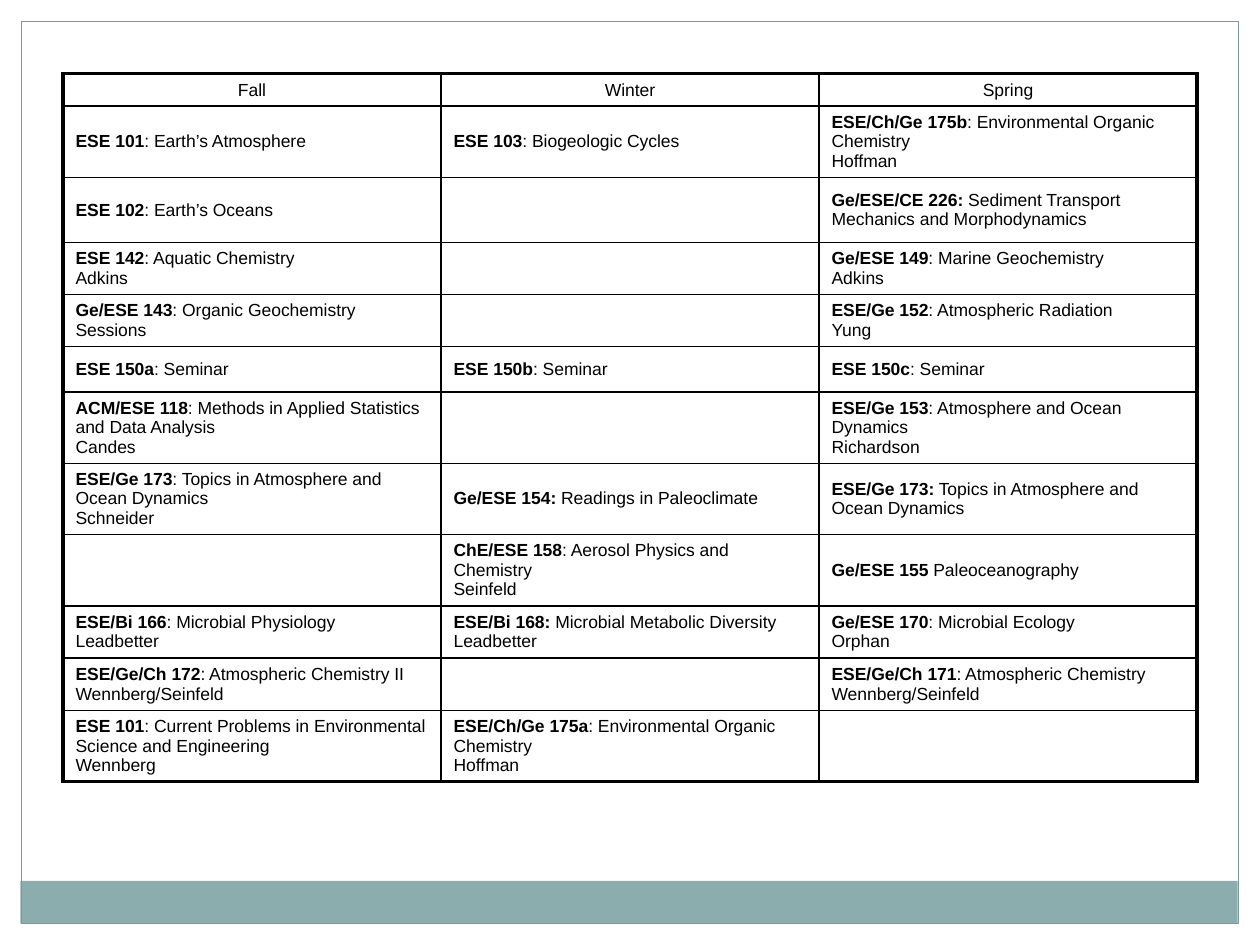
import pptx
import pptx.util
import pptx.dml.color
import pptx.enum.shapes
import pptx.enum.text
import pptx.oxml
import pptx.oxml.ns

Cm, Pt = pptx.util.Cm, pptx.util.Pt
MIDDLE = pptx.enum.text.MSO_ANCHOR.MIDDLE
BOTTOM = pptx.enum.text.MSO_ANCHOR.BOTTOM

COLORS = {"margin": "FFFFFF", "band": "8CADAE", "frame": "7C999A", "ink": "000000"}
FONT, SIZE = "Arial", 10
OUTER, INNER = 2, 1  # border widths in points
PAGE_WIDTH, PAGE_HEIGHT, MARGIN = 25.4, 19.05, 0.43

# Filled strips: colour, left, top, width, height in cm
STRIPS = [
    ("margin", 0, 0, PAGE_WIDTH, MARGIN),
    ("margin", PAGE_WIDTH - MARGIN, 0, MARGIN, PAGE_HEIGHT),
    ("margin", 0, 0, MARGIN, PAGE_HEIGHT),
    ("band", 0.41, 17.76, 24.54, 0.86),
]

TERMS = ["Fall", "Winter", "Spring"]
HEADER_HEIGHT = 0.64

# Row height in cm, then one course per term: (code, title, optional second paragraph)
COURSES = [
    (1.44, [("ESE 101", ": Earth’s Atmosphere"),
            ("ESE 103", ": Biogeologic Cycles"),
            ("ESE/Ch/Ge 175b", ": Environmental Organic Chemistry", "Hoffman")]),
    (1.31, [("ESE 102", ": Earth’s Oceans"),
            None,
            ("Ge/ESE/CE 226:", " Sediment Transport Mechanics and Morphodynamics")]),
    (1.05, [("ESE 142", ": Aquatic Chemistry\nAdkins"),
            None,
            ("Ge/ESE 149", ": Marine Geochemistry\nAdkins")]),
    (1.05, [("Ge/ESE 143", ": Organic Geochemistry\nSessions"),
            None,
            ("ESE/Ge 152", ": Atmospheric Radiation\nYung")]),
    (0.91, [("ESE 150a", ": Seminar"),
            ("ESE 150b", ": Seminar"),
            ("ESE 150c", ": Seminar")]),
    (1.44, [("ACM/ESE 118", ": Methods in Applied Statistics and Data Analysis", "Candes"),
            None,
            ("ESE/Ge 153", ": Atmosphere and Ocean Dynamics\nRichardson")]),
    (1.44, [("ESE/Ge 173", ": Topics in Atmosphere and Ocean Dynamics\nSchneider"),
            ("Ge/ESE 154:", " Readings in Paleoclimate"),
            ("ESE/Ge 173:", " Topics in Atmosphere and Ocean Dynamics")]),
    (1.44, [None,
            ("ChE/ESE 158", ": Aerosol Physics and Chemistry\nSeinfeld"),
            ("Ge/ESE 155 ", "Paleoceanography")]),
    (1.05, [("ESE/Bi 166", ": Microbial Physiology\nLeadbetter"),
            ("ESE/Bi 168:", " Microbial Metabolic Diversity", "Leadbetter"),
            ("Ge/ESE 170", ": Microbial Ecology\nOrphan")]),
    (1.05, [("ESE/Ge/Ch 172", ": Atmospheric Chemistry II\nWennberg/Seinfeld"),
            None,
            ("ESE/Ge/Ch 171", ": Atmospheric Chemistry\nWennberg/Seinfeld")]),
    (1.44, [("ESE 101", ": Current Problems in Environmental Science and Engineering",
             "Wennberg"),
            ("ESE/Ch/Ge 175a", ": Environmental Organic Chemistry", "Hoffman"),
            None]),
]


def color(name):
    return pptx.dml.color.RGBColor.from_string(COLORS[name])


def add_rectangle(slide, left, top, width, height):
    shape = slide.shapes.add_shape(pptx.enum.shapes.MSO_SHAPE.RECTANGLE,
                                   Cm(left), Cm(top), Cm(width), Cm(height))
    shape.shadow.inherit = False
    return shape


def add_text(para, text, bold=False):
    for index, line in enumerate(text.split("\n")):
        if index:
            para.add_line_break()
        span = para.add_run()
        span.text = line
        span.font.name, span.font.size, span.font.bold = FONT, Pt(SIZE), bold
        span.font.color.rgb = color("ink")


def set_borders(cell, widths):
    """Draw the left, right, top and bottom borders, with widths in points."""
    properties = cell._tc.get_or_add_tcPr()
    for tag, width in zip(("lnL", "lnR", "lnT", "lnB"), widths):
        properties.append(pptx.oxml.parse_xml(
            f'<a:{tag} {pptx.oxml.ns.nsdecls("a")} w="{Pt(width)}"><a:solidFill>'
            f'<a:srgbClr val="{COLORS["ink"]}"/></a:solidFill></a:{tag}>'))


def fill_cell(cell, course):
    cell.vertical_anchor = MIDDLE
    if course is None:
        return
    code, title, *more = course
    para = cell.text_frame.paragraphs[0]
    add_text(para, code, bold=True)
    add_text(para, title)
    for text in more:
        add_text(cell.text_frame.add_paragraph(), text)


def add_schedule(slide):
    heights = [HEADER_HEIGHT] + [height for height, _ in COURSES]
    last_row, last_column = len(heights) - 1, len(TERMS) - 1
    table = slide.shapes.add_table(len(heights), len(TERMS), Cm(1.27), Cm(1.49),
                                   Cm(22.86), Cm(sum(heights))).table
    table.first_row = table.horz_banding = False
    for row, height in zip(table.rows, heights):
        row.height = Cm(height)

    for column, term in enumerate(TERMS):
        header = table.cell(0, column)
        header.vertical_anchor = BOTTOM
        para = header.text_frame.paragraphs[0]
        para.alignment = pptx.enum.text.PP_ALIGN.CENTER
        add_text(para, term)
        for row, (_, courses) in enumerate(COURSES, start=1):
            fill_cell(table.cell(row, column), courses[column])

        # Thick rule around the table, thin rules inside
        for row in range(len(heights)):
            cell = table.cell(row, column)
            edges = (column == 0, column == last_column, row == 0, row == last_row)
            set_borders(cell, [OUTER if edge else INNER for edge in edges])
            cell.fill.background()


def main():
    deck = pptx.Presentation()
    deck.slide_width, deck.slide_height = Cm(PAGE_WIDTH), Cm(PAGE_HEIGHT)
    slide = deck.slides.add_slide(deck.slide_layouts[6])

    # Page margins and bottom band
    for name, *place in STRIPS:
        strip = add_rectangle(slide, *place)
        strip.fill.solid()
        strip.fill.fore_color.rgb = color(name)
        strip.line.fill.background()

    # Page frame
    frame = add_rectangle(slide, MARGIN, MARGIN,
                          PAGE_WIDTH - 2 * MARGIN, PAGE_HEIGHT - 2 * MARGIN)
    frame.fill.background()
    frame.line.color.rgb = color("frame")
    frame.line.width = Pt(0.75)

    add_schedule(slide)
    deck.save("out.pptx")


if __name__ == "__main__":
    main()
